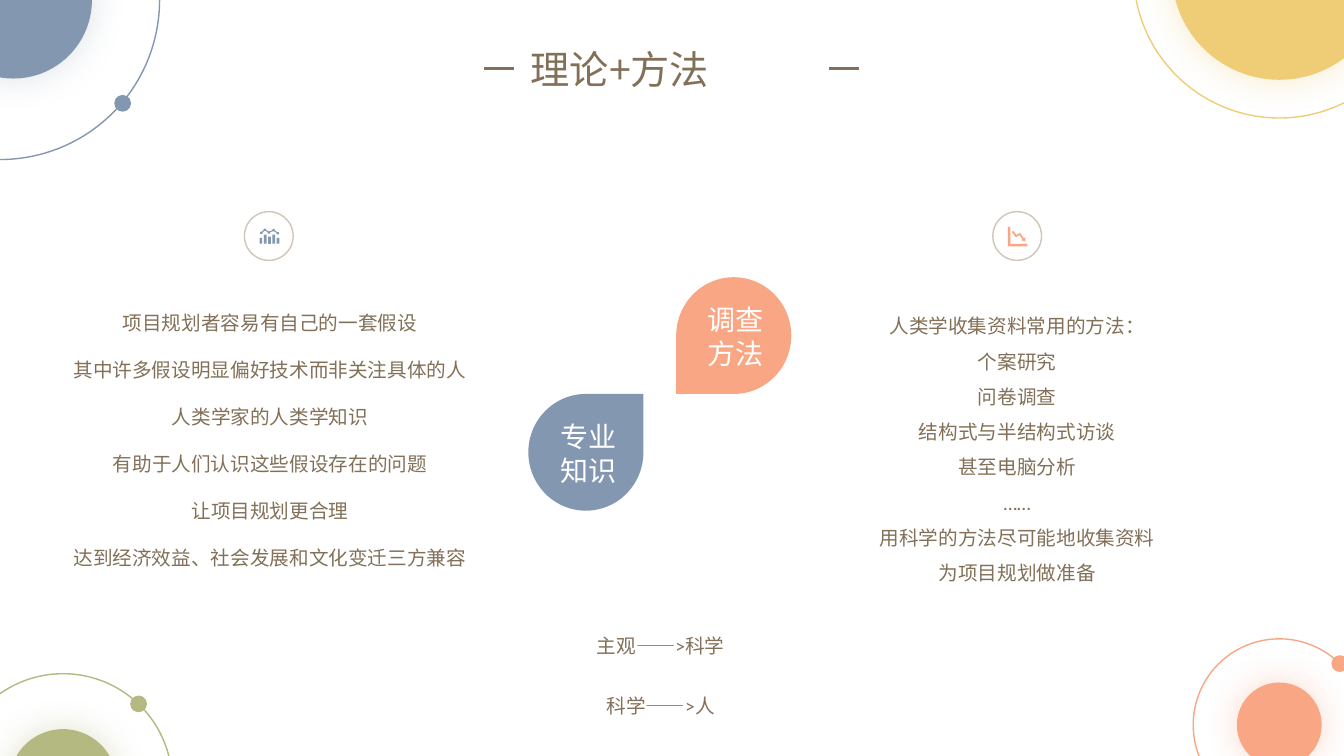
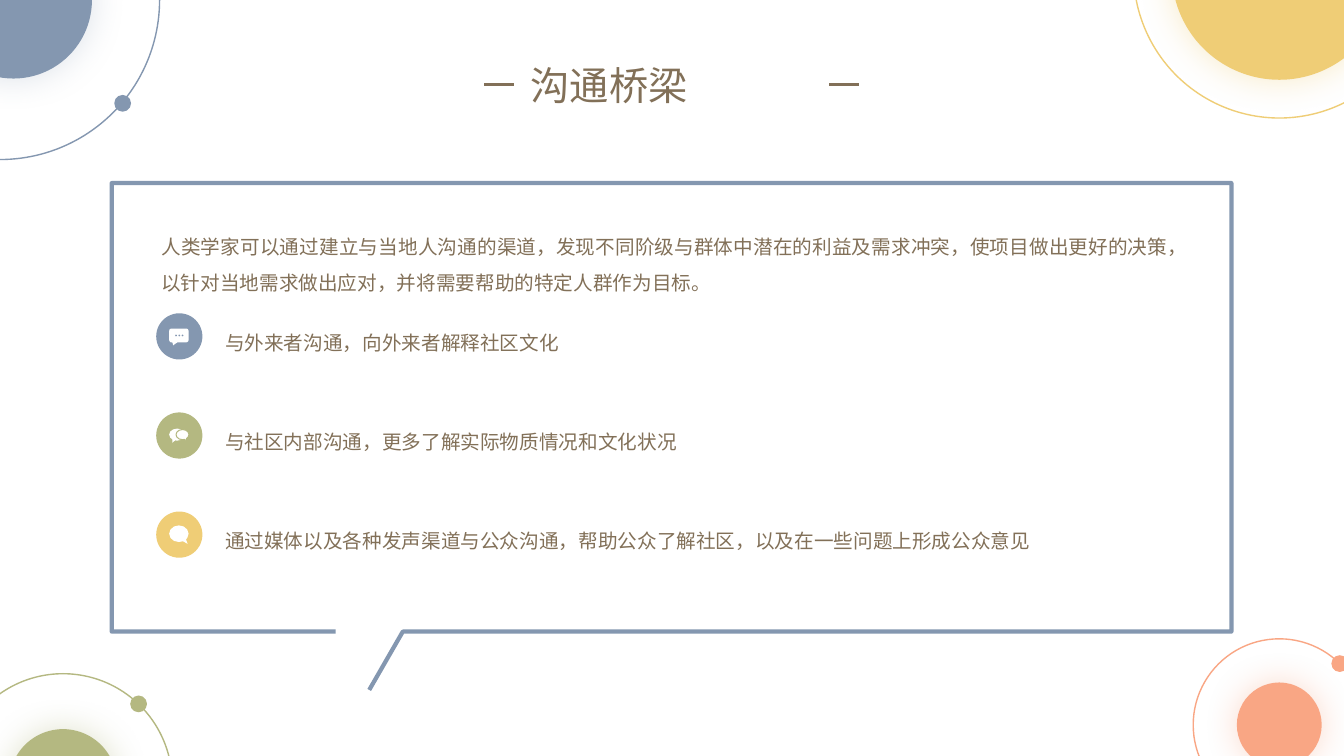
from dataclasses import dataclass

from lxml import etree
from pptx import Presentation
from pptx.dml.color import RGBColor
from pptx.enum.shapes import MSO_CONNECTOR, MSO_SHAPE as Preset
from pptx.enum.text import MSO_ANCHOR as Anchor, MSO_AUTO_SIZE as AutoSize, PP_ALIGN as Align
from pptx.oxml.ns import qn
from pptx.util import Emu, Inches, Pt

COLUMNS, ROWS = 160, 90
CELL = Inches(1) // 12
BLUE, YELLOW, CORAL, GREEN = "8497B0", "EFCD76", "F9A684", "B4B881"
BROWN, RING, WHITE = "827058", "CFC6B9", "FFFFFF"
LATIN, CHINESE = "Calibri", "Noto Sans CJK SC"
TITLE_ONLY = 5
BADGE = 5.5
NO_INSETS = dict(margin_left=0, margin_top=0, margin_right=0, margin_bottom=0)


@dataclass
class Box:
    """A region measured in grid columns and rows."""
    left: float
    top: float
    width: float
    height: float

    def share(self, x, y, width, height):
        """The box that takes the given shares of this one."""
        return Box(*self.point(x, y), width * self.width, height * self.height)

    def point(self, x, y):
        return self.left + x * self.width, self.top + y * self.height

    def place(self):
        return [cells(value) for value in (self.left, self.top, self.width, self.height)]


def cells(count):
    return Emu(round(count * CELL))


def around(x, y, diameter):
    """The square box centred on a point."""
    return Box(x - diameter / 2, y - diameter / 2, diameter, diameter)


def rgb(colour):
    return RGBColor.from_string(colour)


def set_format(target, **values):
    for name, value in values.items():
        setattr(target, name, value)


def paint(shape, fill=None, line=None, weight=1):
    shape.shadow.inherit = False
    if fill:
        shape.fill.solid()
        shape.fill.fore_color.rgb = rgb(fill)
    else:
        shape.fill.background()
    if line:
        shape.line.color.rgb = rgb(line)
        shape.line.width = Pt(weight)
    else:
        shape.line.fill.background()
    return shape


def add_preset(slide, preset, box, **colours):
    return paint(slide.shapes.add_shape(preset, *box.place()), **colours)


def add_outline(slide, points, closed=True, **colours):
    start, *others = [(cells(x), cells(y)) for x, y in points]
    builder = slide.shapes.build_freeform(*start)
    builder.add_line_segments(others, close=closed)
    return paint(builder.convert_to_shape(), **colours)


def add_glow(shape, colour, opacity, blur=25):
    effects = shape.element.spPr.find(qn("a:effectLst"))
    shadow = etree.SubElement(effects, qn("a:outerShdw"), blurRad=str(Pt(blur)),
                              dist="0", dir="0", algn="ctr", rotWithShape="0")
    tint = etree.SubElement(shadow, qn("a:srgbClr"), val=colour)
    etree.SubElement(tint, qn("a:alpha"), val=str(opacity * 1000))


def fill_text(shape, lines, size=14, colour=BROWN, font=LATIN, align=Align.CENTER,
              spacing=None, **frame_values):
    frame = shape.text_frame
    set_format(frame, word_wrap=True, vertical_anchor=Anchor.TOP,
               auto_size=AutoSize.SHAPE_TO_FIT_TEXT, **frame_values)
    for index, line in enumerate(lines):
        paragraph = frame.add_paragraph() if index else frame.paragraphs[0]
        set_format(paragraph, alignment=align, line_spacing=spacing)
        run = paragraph.add_run()
        run.text = line
        set_format(run.font, name=font, size=Pt(size))
        run.font.color.rgb = rgb(colour)
    for properties in shape.element.iter(qn("a:rPr")):
        etree.SubElement(properties, qn("a:ea"), typeface=CHINESE)


def add_text(slide, box, lines, **values):
    fill_text(slide.shapes.add_textbox(*box.place()), lines, **NO_INSETS, **values)


def add_corner(slide, colour, centre, disc, ring, dot=None, ring_centre=None, opacity=40):
    """A glowing disc inside a ring, with a dot on the ring."""
    glowing = add_preset(slide, Preset.OVAL, around(*centre, disc), fill=colour)
    add_glow(glowing, colour, opacity)
    circles = [glowing, add_preset(slide, Preset.OVAL, around(*(ring_centre or centre), ring),
                                   line=colour)]
    if dot:
        circles.append(add_preset(slide, Preset.OVAL, around(*dot, 2), fill=colour))
    return circles


def decorate_layout(slide):
    """Draw the corners and hand them to the layout that all slides share."""
    circles = (
        add_corner(slide, BLUE, (1.6, 0), 18.7, 38, (14.6, 12.3), (0, 0), opacity=28)
        + add_corner(slide, YELLOW, (152.3, -3.3), 25.6, 34.7)
        + add_corner(slide, CORAL, (152.3, 86.3), 10.1, 20.5, (159.5, 79))
        + add_corner(slide, GREEN, (7.5, 93.2), 12.8, 26, (16.5, 83.8)))
    for circle in circles:
        slide.slide_layout.shapes.element.append(circle.element)


def add_title(slide, text, box):
    """Move and format the title, with a dash on either side."""
    title = slide.shapes.title
    set_format(title, **dict(zip(("left", "top", "width", "height"), box.place())))
    fill_text(title, [text], size=28, font=CHINESE, align=Align.JUSTIFY)
    for offset in (-0.12, 1.02):
        x, y = box.point(offset, 0.5)
        dash = slide.shapes.add_connector(MSO_CONNECTOR.STRAIGHT, cells(x), cells(y),
                                          cells(x + 3.5), cells(y))
        dash.line.color.rgb = rgb(BROWN)
        dash.line.width = Pt(2)
        etree.SubElement(dash.element.spPr, qn("a:effectLst"))


def add_bars_icon(slide, box):
    """Five bars under a dotted line."""
    for index, height in enumerate((0.4, 0.6, 0.47, 0.6, 0.4)):
        add_preset(slide, Preset.RECTANGLE, box.share(index * 0.22, 1 - height, 0.14, height),
                   fill=BLUE)
    points = [box.point(x, y) for x, y in
              ((0.09, 0.28), (0.27, 0.07), (0.48, 0.25), (0.72, 0.1), (0.94, 0.3))]
    add_outline(slide, points, closed=False, line=BLUE, weight=0.75)
    for point in points:
        add_preset(slide, Preset.OVAL, around(*point, 0.3), fill=BLUE)


def add_decline_icon(slide, box):
    """Two axes and a falling arrow."""
    axes = (0, 0), (0.12, 0), (0.12, 0.88), (1, 0.88), (1, 1), (0, 1)
    arrow = ((0.26, 0.2), (0.43, 0.42), (0.62, 0.32), (0.82, 0.6), (0.89, 0.54),
             (0.89, 0.75), (0.68, 0.69), (0.75, 0.64), (0.59, 0.43), (0.4, 0.54), (0.2, 0.27))
    for outline in (axes, arrow):
        add_outline(slide, [box.point(x, y) for x, y in outline], fill=CORAL)


def add_topic(slide, ring, text_box, lines, spacing, add_icon, icon_share):
    """A ringed icon above centred lines."""
    add_preset(slide, Preset.OVAL, ring, line=RING)
    add_icon(slide, ring.share(*icon_share))
    add_text(slide, text_box, lines, spacing=spacing)


def add_drop(slide, box, text, colour, rotation=0):
    drop = add_preset(slide, Preset.TEAR, box, fill=colour)
    drop.rotation = rotation
    add_text(slide, box.share(0.23, 0.22, 0.58, 0.58), [text], size=20, colour=WHITE,
             font=CHINESE)


def add_bubble(slide, badge, preset, share, tip, line=None):
    bubble = add_preset(slide, preset, badge.share(*share), fill=WHITE, line=line, weight=0.75)
    for index, value in enumerate(tip):
        bubble.adjustments[index] = value


def add_channel(slide, box, text, colour, bubbles, dots=()):
    """A badge with speech bubbles, and its sentence to the right."""
    badge = Box(box.left, box.top, BADGE, BADGE)
    add_preset(slide, Preset.OVAL, badge, fill=colour)
    for preset, share, tip, outlined in bubbles:
        add_bubble(slide, badge, preset, share, tip, colour if outlined else None)
    for x, y in dots:
        add_preset(slide, Preset.OVAL, around(*badge.point(x, y), 0.2), fill=colour)
    sentence = Box(box.left + 8.2, box.top + 0.7, box.width - 8.2, 4.2)
    add_text(slide, sentence, [text], align=Align.JUSTIFY, spacing=1.5)


def build_theory_slide(slide):
    add_title(slide, "理论+方法", Box(62, 4.8, 36, 6.8))
    add_drop(slide, Box(62.9, 46.9, 13.7, 13.9), "专业知识", BLUE)
    add_drop(slide, Box(80.5, 33, 13.7, 13.9), "调查方法", CORAL, rotation=180)
    add_topic(slide, Box(118.2, 25.2, 5.8, 5.8), Box(103.4, 36, 35.4, 46.7),
              ["人类学收集资料常用的方法：", "个案研究", "问卷调查", "结构式与半结构式访谈",
               "甚至电脑分析", "……", "用科学的方法尽可能地收集资料", "为项目规划做准备"],
              1.5, add_decline_icon, (0.31, 0.31, 0.4, 0.4))
    add_topic(slide, Box(29.1, 25.2, 5.8, 5.8), Box(7.3, 34.2, 49.7, 34),
              ["项目规划者容易有自己的一套假设", "其中许多假设明显偏好技术而非关注具体的人",
               "人类学家的人类学知识", "有助于人们认识这些假设存在的问题", "让项目规划更合理",
               "达到经济效益、社会发展和文化变迁三方兼容"],
              2.0, add_bars_icon, (0.31, 0.35, 0.4, 0.31))
    for index, line in enumerate(("主观——>科学", "科学——>人")):
        add_text(slide, Box(53.8, 72.7 + index * 7.1, 49.7, 5.6), [line], spacing=2.0)


def build_bridge_slide(slide):
    add_title(slide, "沟通桥梁", Box(62, 6.7, 36, 6.8))
    frame = Box(13.3, 21.8, 133.3, 53.4)
    corners = (0.2, 1), (0, 1), (0, 0), (1, 0), (1, 1), (0.26, 1), (0.23, 1.13)
    add_outline(slide, [frame.point(x, y) for x, y in corners], closed=False,
                line=BLUE, weight=3)
    add_text(slide, Box(19.2, 26.6, 119.9, 8.5),
             ["人类学家可以通过建立与当地人沟通的渠道，发现不同阶级与群体中潜在的利益及需求冲突，"
              "使项目做出更好的决策，以针对当地需求做出应对，并将需要帮助的特定人群作为目标。"],
             align=Align.JUSTIFY, spacing=1.5)
    square, oval = Preset.ROUNDED_RECTANGULAR_CALLOUT, Preset.OVAL_CALLOUT
    channels = (
        (51.4, "与外来者沟通，向外来者解释社区文化", BLUE,
         [(square, (0.28, 0.33, 0.42, 0.3), (-0.29, 0.71, 0.17), False)],
         [(x, 0.48) for x in (0.43, 0.5, 0.57)]),
        (76.1, "与社区内部沟通，更多了解实际物质情况和文化状况", GREEN,
         [(oval, (0.28, 0.35, 0.35, 0.26), (-0.31, 0.67), False),
          (oval, (0.43, 0.37, 0.28, 0.22), (0.33, 0.61), True)]),
        (114.5, "通过媒体以及各种发声渠道与公众沟通，帮助公众了解社区，以及在一些问题上形成公众意见",
         YELLOW, [(oval, (0.28, 0.3, 0.42, 0.36), (0.45, 0.61), False)]),
    )
    for index, (width, *content) in enumerate(channels):
        add_channel(slide, Box(18.6, 37.3 + index * 11.8, width, BADGE), *content)


def main():
    presentation = Presentation()
    set_format(presentation, slide_width=cells(COLUMNS), slide_height=cells(ROWS))
    layout = presentation.slide_layouts[TITLE_ONLY]
    theory, bridge = (presentation.slides.add_slide(layout) for _ in range(2))
    decorate_layout(theory)
    build_theory_slide(theory)
    build_bridge_slide(bridge)
    presentation.save("out.pptx")


if __name__ == "__main__":
    main()
